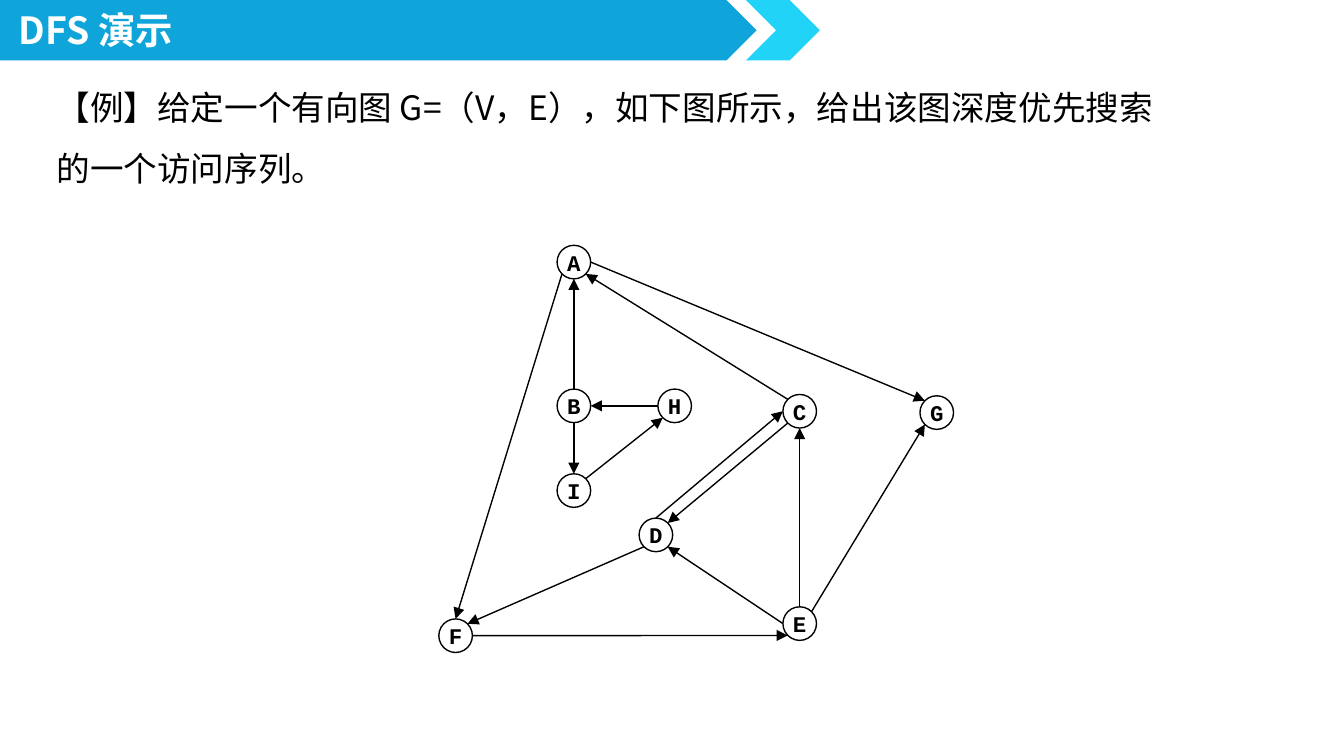
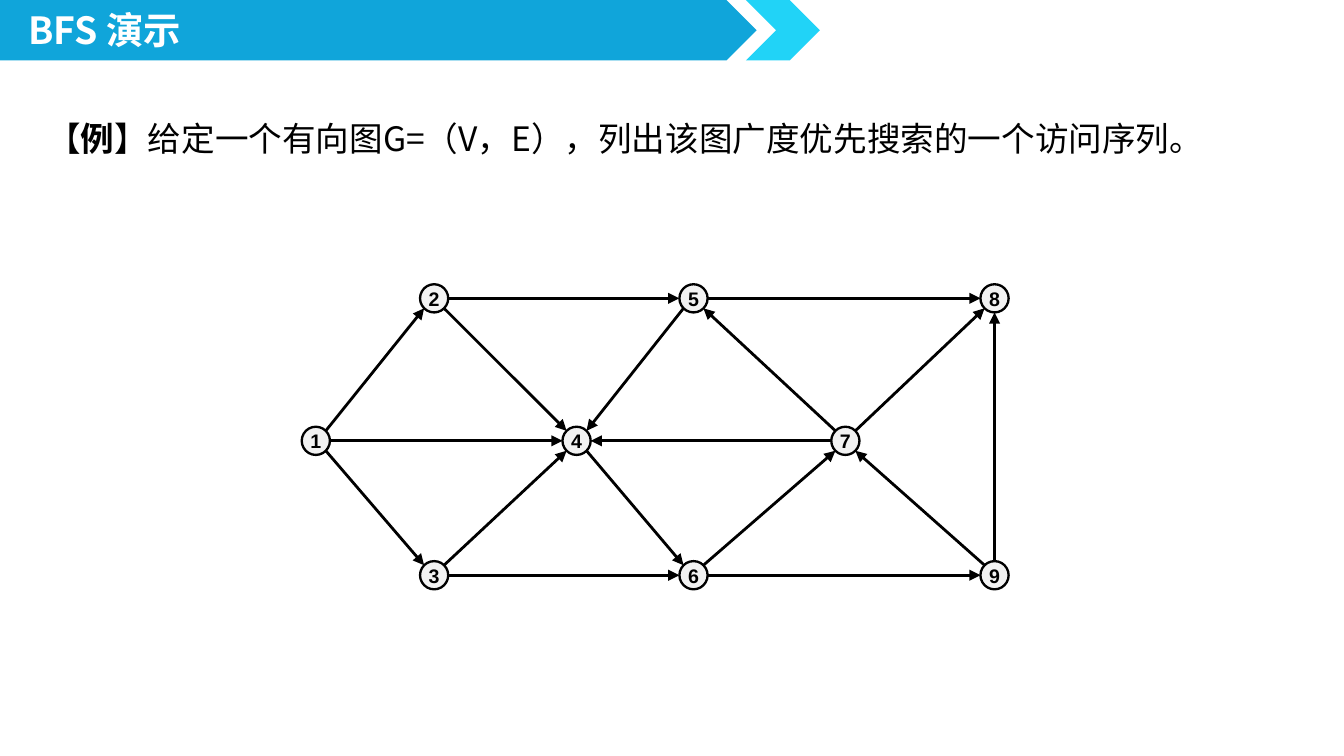
import math

from lxml import etree
from pptx import Presentation
from pptx.dml.color import RGBColor
from pptx.enum import shapes, text
from pptx.oxml import ns
from pptx.util import Inches, Pt

COLORS = {"band": "10A5DA", "accent": "21D3F7", "title": "FFFFFF",
          "ink": "000000", "node": "F2F2F2"}
CJK = "Noto Sans CJK SC"
TITLE_FONT = {"name": CJK, "size": Pt(20), "bold": True}
BODY_FONT = {"name": CJK, "size": Pt(18), "bold": False}

# Outward angle of each compass point, clockwise from east
COMPASS = {d: math.radians(45 * i) for i, d in
           enumerate(("e", "se", "s", "sw", "w", "nw", "n", "ne"))}

# Graphs give node centres, and edges as "node+side node+side"
DFS_GRAPH = {
    "diameter": 0.25,
    "fill": None,
    "outline": Pt(0.75),
    "edge": Pt(0.75),
    "font": {"name": "Courier New", "size": Pt(12), "bold": True},
    "nodes": {"A": (4.27, 1.95), "B": (4.27, 3.02), "C": (5.95, 3.06),
              "D": (4.88, 3.98), "E": (5.95, 4.64), "F": (3.39, 4.73),
              "G": (6.97, 3.07), "H": (5.02, 3.02), "I": (4.27, 3.65)},
    "edges": ["Asw Fn", "Cnw Ase", "Ae Gnw", "Ew Dse", "Fe Esw", "Dsw Fne",
              "Ene Gsw", "En Cs", "Csw Dne", "Dn Cw", "Bn As", "Hw Be",
              "Ine Hsw", "Bs In"],
}
TOP, MIDDLE, BOTTOM = 2.22, 3.28, 4.28
BFS_GRAPH = {
    "diameter": 0.21,
    "fill": "node",
    "outline": Pt(1.25),
    "edge": Pt(1.5),
    "font": {"name": "Arial", "size": Pt(10.5), "bold": True},
    "nodes": {"1": (2.35, MIDDLE), "2": (3.23, TOP), "3": (3.23, BOTTOM),
              "4": (4.29, MIDDLE), "5": (5.16, TOP), "6": (5.16, BOTTOM),
              "7": (6.29, MIDDLE), "8": (7.4, TOP), "9": (7.4, BOTTOM)},
    "edges": ["1ne 2sw", "1e 4w", "1se 3nw", "2e 5w", "2se 4nw", "3e 6w",
              "3ne 4sw", "4se 6nw", "5e 8w", "5sw 4ne", "6e 9w", "6ne 7sw",
              "7w 4e", "7nw 5se", "7ne 8sw", "9n 8s", "9nw 7se"],
}


def rgb(name):
    return RGBColor.from_string(COLORS[name])


def apply(target, values):
    for key, value in values.items():
        setattr(target, key, value)


def add_run(p, words, font, color="ink"):
    r = p.add_run()
    r.text = words
    apply(r.font, font)
    r.font.color.rgb = rgb(color)
    ea = etree.SubElement(r.font._element, ns.qn("a:ea"))
    ea.set("typeface", font["name"])


def set_insets(tf, side):
    apply(tf, {"margin_left": Inches(side), "margin_right": Inches(side),
               "margin_top": Inches(0.04), "margin_bottom": Inches(0.04),
               "vertical_anchor": text.MSO_ANCHOR.MIDDLE})


def add_bands(slide, layout):
    """Draw the header bands and place them on the shared layout."""
    bands = [(shapes.MSO_SHAPE.PENTAGON, 0, 5.63, "band"),
             (shapes.MSO_SHAPE.CHEVRON, 5.55, 0.55, "accent")]
    for i, (kind, left, width, color) in enumerate(bands):
        sp = slide.shapes.add_shape(kind, Inches(left), 0, Inches(width), Inches(0.45))
        sp.shadow.inherit = False
        sp.fill.solid()
        sp.fill.fore_color.rgb = rgb(color)
        sp.line.fill.background()
        layout.element.cSld.spTree.insert(2 + i, sp.element)


def set_title(slide, words, left):
    sp = slide.shapes.title
    apply(sp, {"left": Inches(left), "top": 0,
               "width": Inches(4.75), "height": Inches(0.44)})
    tf = sp.text_frame
    apply(tf, {"auto_size": text.MSO_AUTO_SIZE.SHAPE_TO_FIT_TEXT,
               "vertical_anchor": text.MSO_ANCHOR.MIDDLE})
    p = tf.paragraphs[0]
    p.alignment = text.PP_ALIGN.LEFT
    add_run(p, words, TITLE_FONT, "title")


def add_question(slide, box, runs, spacing, align, indent=0):
    """Add the exercise text; runs are (words, bold) pairs."""
    tf = slide.shapes.add_textbox(*map(Inches, box)).text_frame
    set_insets(tf, 0.07)
    apply(tf, {"word_wrap": True,
               "auto_size": text.MSO_AUTO_SIZE.SHAPE_TO_FIT_TEXT})
    p = tf.paragraphs[0]
    apply(p, {"line_spacing": spacing, "alignment": align})
    if indent:
        pPr = p._p.get_or_add_pPr()
        pPr.set("marL", "0")
        pPr.set("indent", str(Inches(indent)))
    for words, bold in runs:
        add_run(p, words, {**BODY_FONT, "bold": bold})


def add_node(slide, graph, label):
    x, y = graph["nodes"][label]
    size = graph["diameter"]
    sp = slide.shapes.add_shape(
        shapes.MSO_SHAPE.OVAL, Inches(x - size / 2), Inches(y - size / 2),
        Inches(size), Inches(size))
    sp.shadow.inherit = False
    if graph["fill"]:
        sp.fill.solid()
        sp.fill.fore_color.rgb = rgb(graph["fill"])
    else:
        sp.fill.background()
    sp.line.color.rgb = rgb("ink")
    sp.line.width = graph["outline"]
    tf = sp.text_frame
    set_insets(tf, 0.08)
    tf.word_wrap = False
    p = tf.paragraphs[0]
    p.alignment = text.PP_ALIGN.CENTER
    add_run(p, label, graph["font"])


def rim_point(graph, end):
    """Return the point on a node's rim, for an end such as "Asw"."""
    x, y = graph["nodes"][end[0]]
    angle = COMPASS[end[1:]]
    radius = graph["diameter"] / 2
    return (Inches(x + radius * math.cos(angle)),
            Inches(y + radius * math.sin(angle)))


def add_edge(slide, graph, edge):
    start, end = (rim_point(graph, e) for e in edge.split())
    cxn = slide.shapes.add_connector(shapes.MSO_CONNECTOR.STRAIGHT, *start, *end)
    cxn.line.color.rgb = rgb("ink")
    cxn.line.width = graph["edge"]
    tail = etree.SubElement(cxn.element.spPr.find(ns.qn("a:ln")), ns.qn("a:tailEnd"))
    tail.set("type", "triangle")
    etree.SubElement(cxn.element.spPr, ns.qn("a:effectLst"))


def add_graph(slide, graph):
    for label in graph["nodes"]:
        add_node(slide, graph, label)
    for edge in graph["edges"]:
        add_edge(slide, graph, edge)


def main():
    prs = Presentation()
    width = Inches(10)
    apply(prs, {"slide_width": width, "slide_height": width * 9 // 16})
    layout = prs.slide_layouts[5]

    dfs = prs.slides.add_slide(layout)
    add_bands(dfs, layout)
    set_title(dfs, "DFS 演示", 0.04)
    add_question(
        dfs, (0.35, 0.46, 8.5, 0.98),
        [("【例】给定一个有向图 G=（V，E），如下图所示，给出该图深度优先搜索的一个访问序列。", False)],
        1.5, text.PP_ALIGN.LEFT, indent=-0.23)
    add_graph(dfs, DFS_GRAPH)

    bfs = prs.slides.add_slide(layout)
    set_title(bfs, "BFS 演示", 0.11)
    add_question(
        bfs, (0.28, 0.75, 8.82, 0.47),
        [("【", False), ("例", True),
         ("】给定一个有向图G=（V，E），列出该图广度优先搜索的一个访问序列。", False)],
        1.3, text.PP_ALIGN.JUSTIFY)
    add_graph(bfs, BFS_GRAPH)

    prs.save("out.pptx")


if __name__ == "__main__":
    main()
